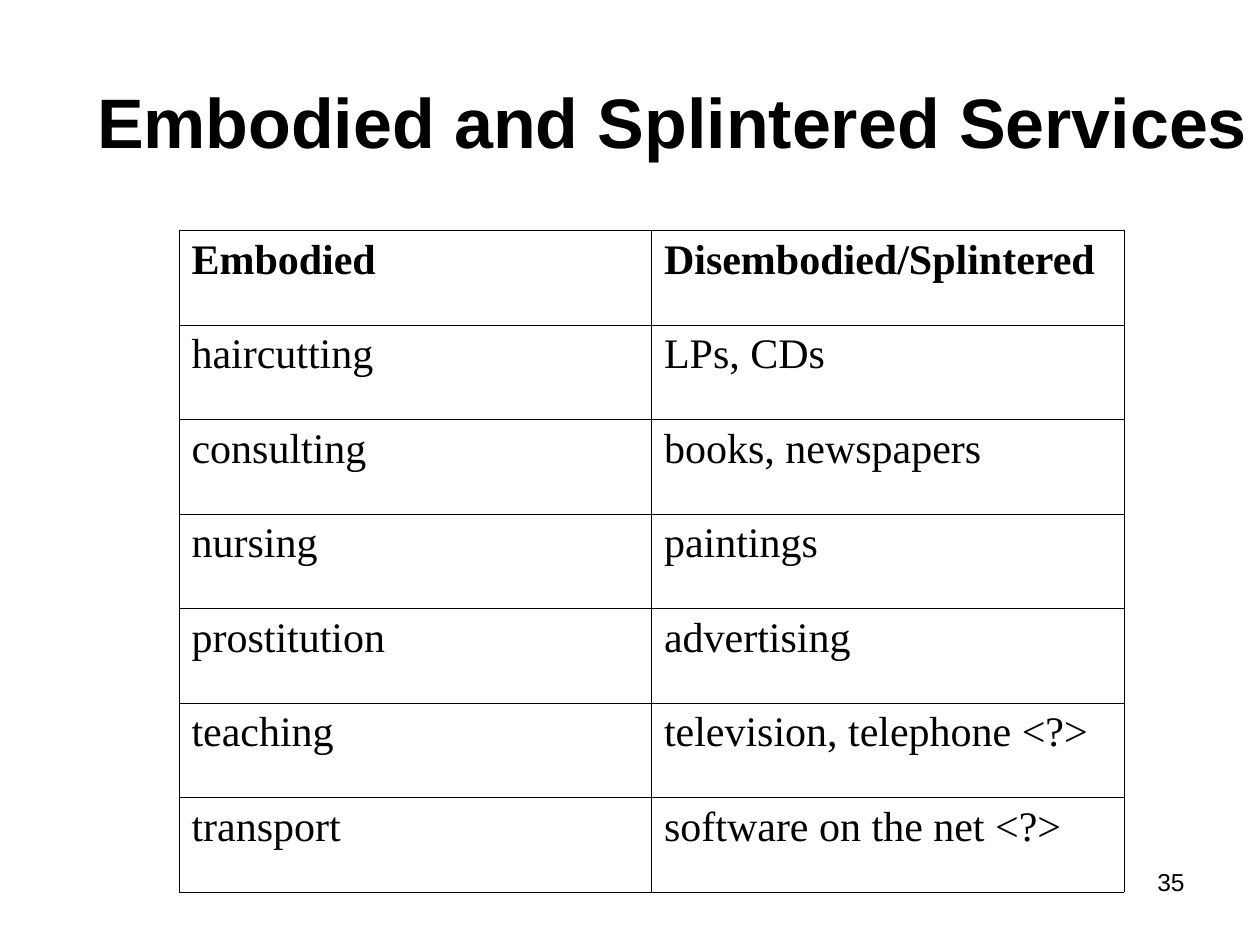
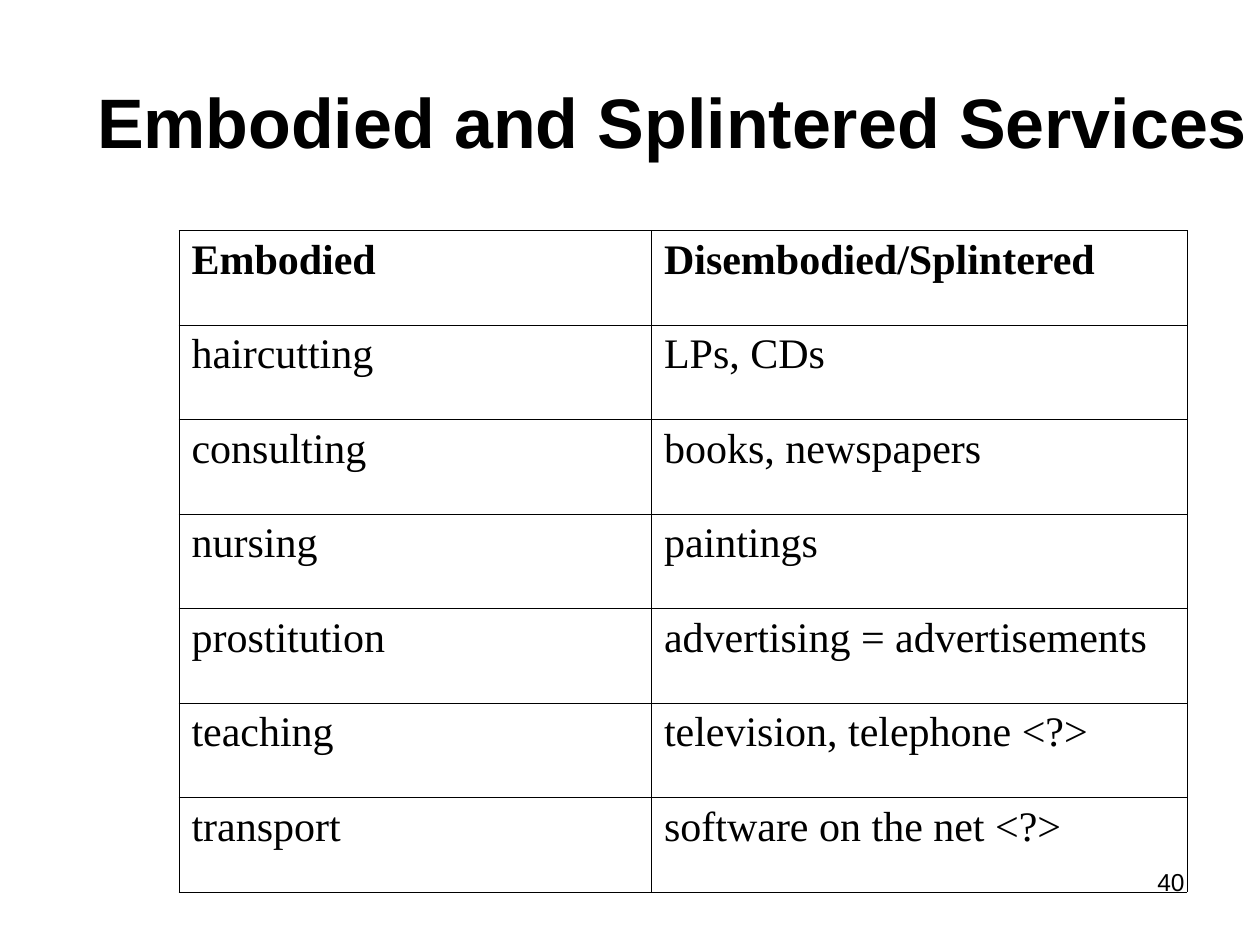
"""Build two slides comparing embodied and splintered services."""
from dataclasses import dataclass

from lxml import etree
from pptx import Presentation
from pptx.dml.color import RGBColor
from pptx.enum import text
from pptx.oxml import ns
from pptx.util import Inches, Pt


@dataclass(frozen=True)
class Theme:
    ink: str = "000000"
    paper: str = "FFFFFF"
    heading_font: str = "Arial"
    table_font: str = "Times New Roman"
    title_size: int = 40
    table_size: int = 24
    number_size: int = 14
    border_width: float = 0.45


theme = Theme()


def write(text_frame, wording, font_name, size, bold=False, alignment=text.PP_ALIGN.LEFT):
    text_frame.text = wording
    paragraph = text_frame.paragraphs[0]
    paragraph.alignment = alignment
    font = paragraph.runs[0].font
    font.name = font_name
    font.size = Pt(size)
    font.bold = bold
    font.color.rgb = RGBColor.from_string(theme.ink)


def draw_borders(cell):
    properties = cell._tc.get_or_add_tcPr()
    for position, side in enumerate(("a:lnL", "a:lnR", "a:lnT", "a:lnB")):
        line = etree.Element(ns.qn(side), w=str(Pt(theme.border_width)))
        fill = etree.SubElement(line, ns.qn("a:solidFill"))
        etree.SubElement(fill, ns.qn("a:srgbClr"), val=theme.ink)
        properties.insert(position, line)


title = "Embodied and Splintered Services"
embodied = ["Embodied", "haircutting", "consulting", "nursing", "prostitution", "teaching", "transport"]
splintered = ["Disembodied/Splintered", "LPs, CDs", "books, newspapers", "paintings",
              "{advertising}", "television, telephone <?>", "software on the net <?>"]
embodied_width = 3.75
row_height = 0.75
versions = [
    ("35", 3.75, "advertising"),
    ("40", 4.25, "advertising = advertisements"),
]

presentation = Presentation()
presentation.slide_width = Inches(10)
presentation.slide_height = Inches(7.5)

for slide_number, splintered_width, advertising in versions:
    slide = presentation.slides.add_slide(presentation.slide_layouts[6])
    slide.background.fill.solid()
    slide.background.fill.fore_color.rgb = RGBColor.from_string(theme.paper)

    title_box = slide.shapes.add_textbox(Inches(0.67), Inches(0.33), Inches(9.33), Inches(1.25))
    title_box.text_frame.word_wrap = False
    title_box.text_frame.vertical_anchor = text.MSO_ANCHOR.MIDDLE
    write(title_box.text_frame, title, theme.heading_font, theme.title_size,
          bold=True, alignment=text.PP_ALIGN.CENTER)

    widths = (embodied_width, splintered_width)
    table = slide.shapes.add_table(
        len(embodied), len(widths), Inches(1.42), Inches(1.83),
        Inches(sum(widths)), Inches(row_height * len(embodied))).table
    table.first_row = True
    table.horz_banding = False
    for column, width in zip(table.columns, widths):
        column.width = Inches(width)
    for row_index, pair in enumerate(zip(embodied, splintered)):
        table.rows[row_index].height = Inches(row_height)
        for column_index, wording in enumerate(pair):
            cell = table.cell(row_index, column_index)
            cell.fill.background()
            write(cell.text_frame, wording.format(advertising=advertising),
                  theme.table_font, theme.table_size, bold=row_index == 0)
            draw_borders(cell)

    number_box = slide.shapes.add_textbox(Inches(7.17), Inches(6.83), Inches(2.33), Inches(0.52))
    number_box.text_frame.word_wrap = True
    write(number_box.text_frame, slide_number, theme.heading_font, theme.number_size,
          alignment=text.PP_ALIGN.RIGHT)

presentation.save("out.pptx")
